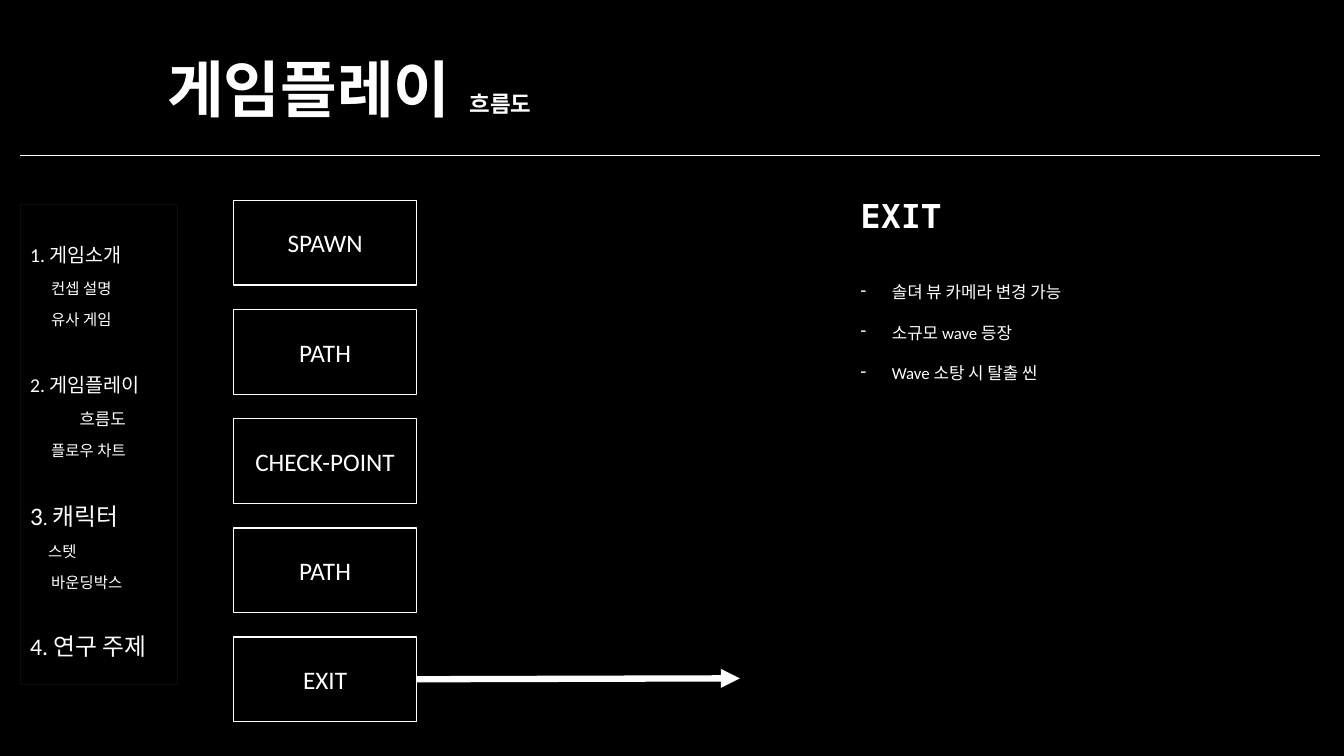
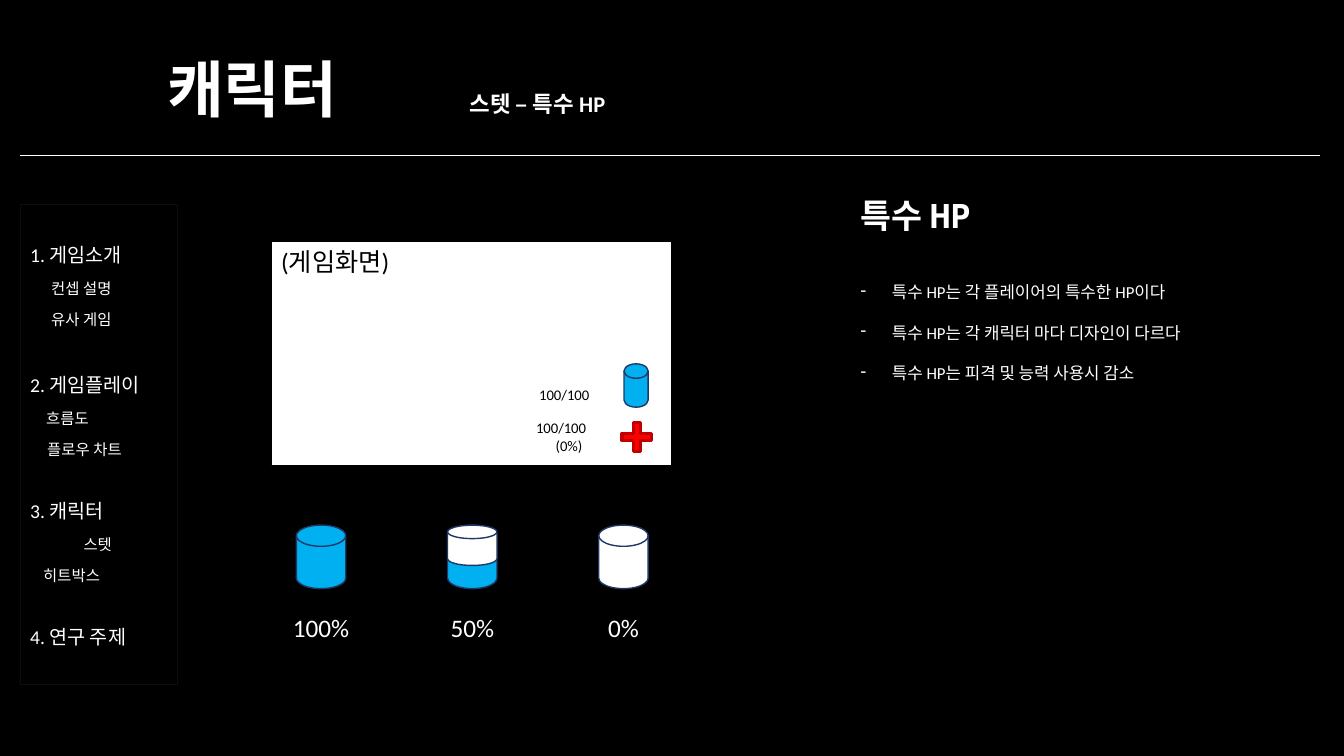
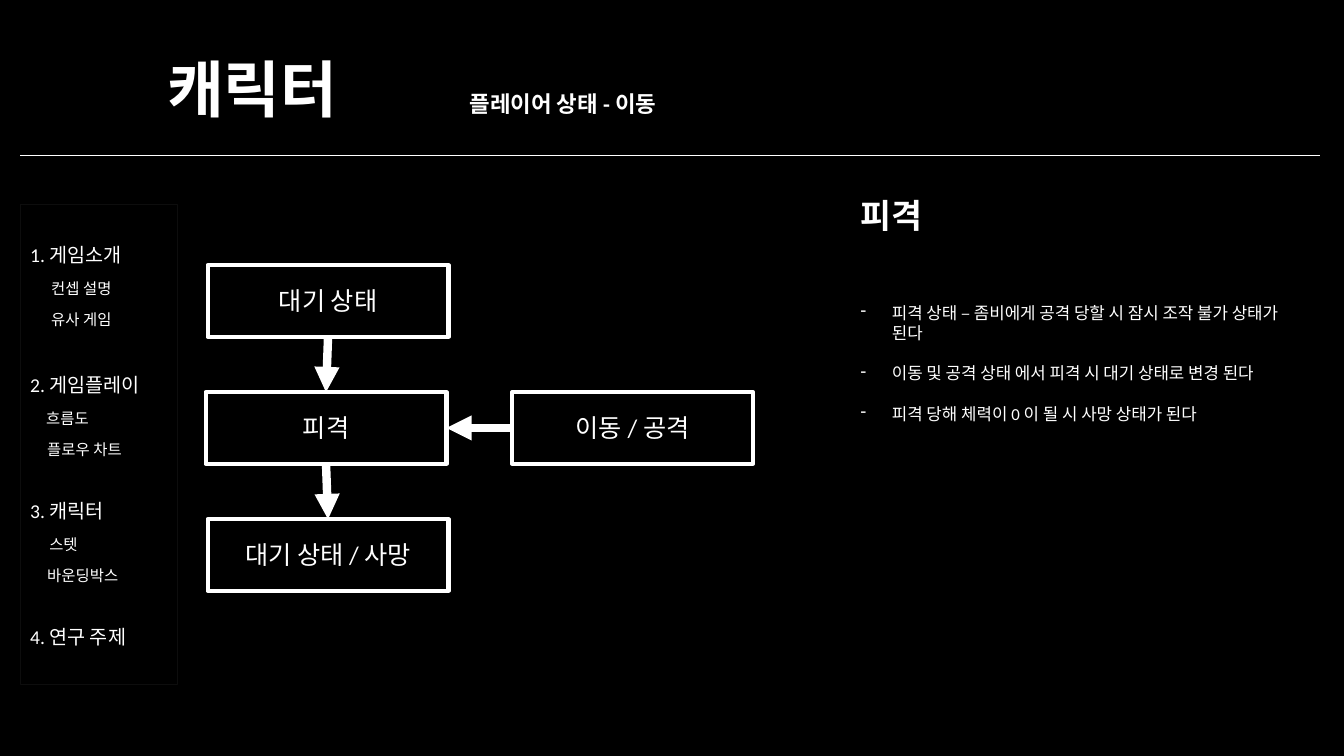
"""Build three game design slides: play flow, special HP and player states."""
from lxml import etree
from pptx import Presentation
from pptx import util as u
from pptx.dml.color import RGBColor
from pptx.enum import shapes, text
from pptx.oxml.ns import qn

INK = {"white": "FFFFFF", "black": "000000", "edge": "0D0D0D", "sky": "00B0F0",
       "navy": "203864", "red": "FF0000", "wine": "C00000"}
KIND = shapes.MSO_SHAPE
LEFT, MID = text.PP_ALIGN.LEFT, text.PP_ALIGN.CENTER

deck = Presentation()
deck.slide_width, deck.slide_height = u.Inches(13.33), u.Inches(7.5)
COL, ROW = deck.slide_width / 100, deck.slide_height / 100


def box(page, kind, x, y, w, h, fill=None, edge=None, width=1):
    """Place a shape, or a text box when kind is None, in hundredths of the slide."""
    spot = [int(n) for n in (x * COL, y * ROW, w * COL, h * ROW)]
    if kind is None:
        item = page.shapes.add_textbox(*spot)
    else:
        item = page.shapes.add_shape(kind, *spot)
        item.shadow.inherit = False
        item.line.color.rgb = RGBColor.from_string(INK[edge])
        item.line.width = u.Pt(width)
        if fill:
            item.fill.solid()
            item.fill.fore_color.rgb = RGBColor.from_string(INK[fill])
        else:
            item.fill.background()
    item.text_frame.word_wrap = True
    return item


def write(par, words, size, ink="white", bold=False, face="Calibri", side=LEFT):
    """Add one run to a paragraph."""
    par.alignment = side
    run = par.add_run()
    run.text = words
    run.font.size, run.font.bold, run.font.name = u.Pt(size), bold, face
    run.font.color.rgb = RGBColor.from_string(INK[ink])


INTRO = [("컨셉 설명", 0.21), ("유사 게임", 0.21)]
PLAY = [("흐름도", 0.16), ("플로우 차트", 0.17)]
HEADS = [[("1. 게임소개", 14)], [("2. 게임플레이", 14)], [("3. 캐릭터", 14)], [("4. 연구 주제", 14)]]
BIG = [[("3", 18), (". ", 14), ("캐릭터", 17)], [("4. 연구 주제", 17)]]

plans = [
    dict(title="게임플레이", sub="흐름도", topic="EXIT", face="Noto Sans Mono",
         top=36.67, wide=30.83, heads=HEADS[:2] + BIG,
         subs=[INTRO, [("흐름도", 0.49, 12), ("플로우 차트", 0.21)],
               [("스텟", 0.18), ("바운딩박스", 0.21)], []],
         notes=["솔뎌 뷰 카메라 변경 가능", "소규모 wave 등장", "Wave 소탕 시 탈출 씬"]),
    dict(title="캐릭터", sub="스텟 – 특수 HP", topic="특수 HP", face="Noto Sans Mono",
         top=36.67, wide=30.83, heads=HEADS,
         subs=[INTRO, PLAY, [("스텟", 0.53), ("히트박스", 0.13)], []],
         notes=["특수 HP는 각 플레이어의 특수한 HP이다", "특수 HP는 각 캐릭터 마다 디자인이 다르다",
                "특수 HP는 피격 및 능력 사용시 감소"]),
    dict(title="캐릭터", sub="플레이어 상태 - 이동", topic="피격", face="Arial",
         top=39.33, wide=34.88, heads=HEADS,
         subs=[INTRO, PLAY, [("스텟", 0.19), ("바운딩박스", 0.17)], []],
         notes=["피격 상태 – 좀비에게 공격 당할 시 잠시 조작 불가 상태가 된다",
                "이동 및 공격 상태 에서 피격 시 대기 상태로 변경 된다",
                "피격 당해 체력이 0 이 될 시 사망 상태가 된다"]),
]

pages, cords = [], []
for plan in plans:
    page = deck.slides.add_slide(deck.slide_layouts[6])
    pages.append(page)
    page.background.fill.solid()
    page.background.fill.fore_color.rgb = RGBColor.from_string(INK["black"])

    menu = box(page, KIND.RECTANGLE, 1.5, 27.07, 11.7, 63.47, edge="edge", width=0.75).text_frame
    menu.vertical_anchor = text.MSO_ANCHOR.TOP
    menu.margin_top = u.Inches(0.41)
    for head, subs, gap in zip(plan["heads"], plan["subs"], (0, 34, 31, 31)):
        par = menu.add_paragraph() if gap else menu.paragraphs[0]
        par.line_spacing, par.space_before = 0.9, u.Pt(gap)
        for words, size in head:
            write(par, words, size)
        for words, inset, *size in subs:
            par = menu.add_paragraph()
            par.line_spacing, par.space_before = 0.9, u.Pt(10)
            par._p.get_or_add_pPr().set("marL", str(u.Inches(inset)))
            write(par, words, size[0] if size else 11)

    frame = box(page, None, 11.7, 2.53, 76.65, 19.33).text_frame
    frame.vertical_anchor = text.MSO_ANCHOR.MIDDLE
    par = frame.paragraphs[0]
    par.line_spacing = 0.9
    tabs = etree.SubElement(par._p.get_or_add_pPr(), qn("a:tabLst"))
    etree.SubElement(tabs, qn("a:tab"), pos=str(u.Inches(3)), algn="l")
    write(par, plan["title"] + "\t", 44, bold=True)
    write(par, plan["sub"], 16, bold=True)

    rule = page.shapes.add_connector(shapes.MSO_CONNECTOR.STRAIGHT, int(1.5 * COL), int(20.53 * ROW),
                                     int(98.18 * COL), int(20.53 * ROW))
    cords.append((rule, 0.5, False))

    frame = box(page, None, 63.3, 25.07, 30.83, 6.67).text_frame
    write(frame.paragraphs[0], plan["topic"], 24, bold=True, face=plan["face"])

    frame = box(page, None, 63.3, plan["top"], plan["wide"], 20.13).text_frame
    for i, note in enumerate(plan["notes"]):
        par = frame.add_paragraph() if i else frame.paragraphs[0]
        par.space_before = u.Pt(14.5 if i else 0)
        props = par._p.get_or_add_pPr()
        props.set("marL", str(u.Inches(0.31)))
        props.set("indent", str(-u.Inches(0.31)))
        etree.SubElement(props, qn("a:buChar"), char="-")
        write(par, note, 12)

flow, stat, state = pages

for i, name in enumerate(["SPAWN", "PATH", "CHECK-POINT", "PATH", "EXIT"]):
    step = box(flow, KIND.RECTANGLE, 17.4, 26.53 + 14.43 * i, 13.58, 11.2, edge="white")
    write(step.text_frame.paragraphs[0], name, 18, side=MID)
arrow = flow.shapes.add_connector(shapes.MSO_CONNECTOR.STRAIGHT, 0, 0, int(55.05 * COL), int(89.73 * ROW))
arrow.begin_connect(step, 3)
cords.append((arrow, 4.5, True))

view = box(stat, KIND.RECTANGLE, 20.18, 31.87, 29.78, 29.73, "white", "black").text_frame
view.vertical_anchor = text.MSO_ANCHOR.TOP
write(view.paragraphs[0], "(게임화면)", 18, "black")
cross = box(stat, KIND.CROSS, 46.28, 55.87, 2.18, 3.87, "red", "wine", 2.25)
cross.adjustments[0] = 0.38
life = box(stat, None, 39.15, 54.8, 6.38, 6).text_frame
write(life.paragraphs[0], "100/100", 10.5, "black")
write(life.add_paragraph(), "(0%)", 10.5, "black", side=MID)
power = box(stat, None, 39.38, 50.4, 5.55, 3.73).text_frame
power.word_wrap = False
write(power.paragraphs[0], "100/100", 10.5, "black")
DISK = KIND.FLOWCHART_MAGNETIC_DISK
box(stat, DISK, 46.43, 48.13, 1.8, 5.73, "sky", "navy")
for i, (rate, fill) in enumerate([("100%", "sky"), ("50%", "sky"), ("0%", "white")]):
    x = 22.05 + 11.25 * i
    box(stat, DISK, x, 69.47, 3.68, 8.4, fill, "navy")
    if rate == "50%":
        box(stat, DISK, x, 69.47, 3.68, 5.33, "white", "navy")
    mark = box(stat, None, x - 1.16, 80.4, 6, 5.33).text_frame
    write(mark.paragraphs[0], rate, 18, side=MID)

nodes = []
for name, x, row in [("대기 상태", 15.45, 0), ("피격", 15.3, 1),
                     ("대기 상태 / 사망", 15.45, 2), ("이동 / 공격", 38.1, 1)]:
    node = box(state, KIND.RECTANGLE, x, 35.07 + 16.8 * row, 17.92, 9.47, edge="white", width=3)
    write(node.text_frame.paragraphs[0], name, 18, side=MID)
    nodes.append(node)
idle, hit, dead, move = nodes
for start, out, end, into in [(idle, 2, hit, 0), (hit, 2, dead, 0), (move, 1, hit, 3)]:
    arrow = state.shapes.add_connector(shapes.MSO_CONNECTOR.STRAIGHT, 0, 0, 0, 0)
    arrow.begin_connect(start, out)
    arrow.end_connect(end, into)
    cords.append((arrow, 6, True))

for cord, width, tip in cords:
    cord.line.color.rgb = RGBColor.from_string(INK["white"])
    cord.line.width = u.Pt(width)
    props = cord._element.spPr
    if tip:
        etree.SubElement(props.find(qn("a:ln")), qn("a:tailEnd"), type="triangle")
    etree.SubElement(props, qn("a:effectLst"))

deck.save("out.pptx")
